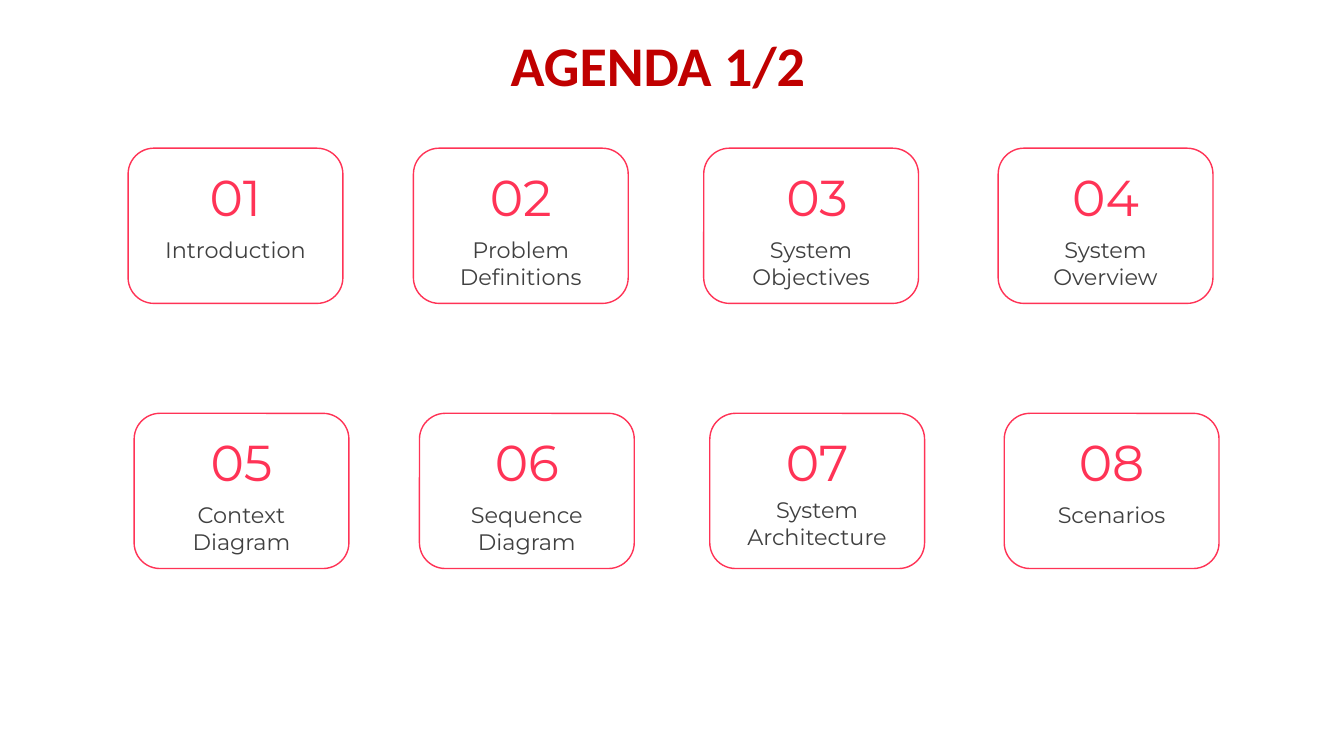
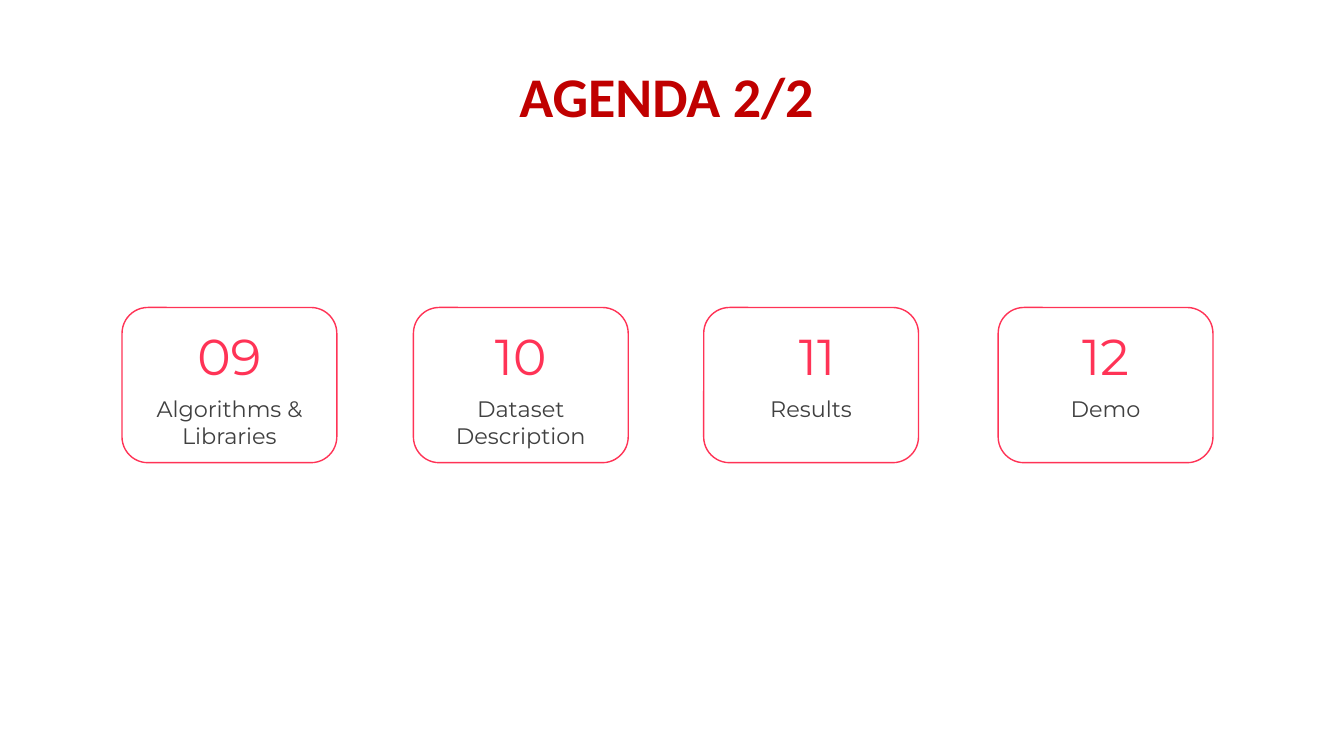
from dataclasses import dataclass

from pptx import Presentation
from pptx.dml.color import RGBColor
from pptx.enum.shapes import MSO_SHAPE
from pptx.enum.text import MSO_ANCHOR, MSO_AUTO_SIZE, PP_ALIGN
from pptx.util import Inches, Pt


@dataclass(frozen=True)
class TextStyle:
    font: str
    size: int
    color: RGBColor
    bold: bool = False


@dataclass(frozen=True)
class Theme:
    paper: RGBColor = RGBColor.from_string("FFFFFF")
    accent: RGBColor = RGBColor.from_string("FF3356")
    outline_width: int = 1
    title: TextStyle = TextStyle("Calibri", 40, RGBColor.from_string("C00000"), True)
    number: TextStyle = TextStyle("Montserrat", 36, RGBColor.from_string("FF3356"))
    label: TextStyle = TextStyle("Montserrat", 16, RGBColor.from_string("404040"))


@dataclass(frozen=True)
class Topic:
    number: int
    label: str
    card_shift: float = 0
    number_shift: float = 0
    label_rise: float = 0


# Lengths are percentages of the slide's width (across) and height (down).
COLUMNS = (9.53, 30.76, 52.36, 74.27)
NUDGE = 0.45
CARD_SIZE = (15.98, 20.53)
NUMBER_SIZE = (11.33, 9.47)
LABEL_SIZE = (15.08, 8.53)
TITLE_SIZE = (58.96, 10.27)
NUMBER_DROP = 1.73
LABEL_DROP = 10.93

AGENDA = (
    ("AGENDA 1/2", 48.95, 3.33, (
        (19.6, 0, (
            Topic(1, "Introduction"),
            Topic(2, "Problem Definitions"),
            Topic(3, "System Objectives", number_shift=NUDGE),
            Topic(4, "System Overview"))),
        (54.67, NUDGE, (
            Topic(5, "Context Diagram"),
            Topic(6, "Sequence Diagram"),
            Topic(7, "System Architecture", label_rise=0.6),
            Topic(8, "Scenarios"))),
    )),
    ("AGENDA 2/2", 49.59, 7.47, (
        (40.67, 0, (
            Topic(9, "Algorithms & Libraries", card_shift=-NUDGE),
            Topic(10, "Dataset Description"),
            Topic(11, "Results", number_shift=NUDGE),
            Topic(12, "Demo"))),
    )),
)


class AgendaDeck:
    def __init__(self, theme):
        self.theme = theme
        self.presentation = Presentation()
        self.presentation.slide_width = Inches(13.33)
        self.presentation.slide_height = Inches(7.5)
        self.slide = None

    def box(self, left, top, size):
        """Turn percentages into left, top, width and height in EMU."""
        across = self.presentation.slide_width / 100
        down = self.presentation.slide_height / 100
        return (round(left * across), round(top * down),
                round(size[0] * across), round(size[1] * down))

    def set_text(self, shape, text, style):
        frame = shape.text_frame
        frame.text = text
        frame.word_wrap = True
        frame.auto_size = MSO_AUTO_SIZE.NONE
        frame.vertical_anchor = MSO_ANCHOR.TOP
        paragraph = frame.paragraphs[0]
        paragraph.alignment = PP_ALIGN.CENTER
        font = paragraph.runs[0].font
        font.name = style.font
        font.size = Pt(style.size)
        font.bold = style.bold
        font.color.rgb = style.color

    def add_slide(self, title, center, top):
        layout = self.presentation.slide_layouts.get_by_name("Title Only")
        self.slide = self.presentation.slides.add_slide(layout)
        shape = self.slide.shapes.title
        shape.left, shape.top, shape.width, shape.height = self.box(
            center - TITLE_SIZE[0] / 2, top, TITLE_SIZE)
        self.set_text(shape, title, self.theme.title)

    def add_text(self, text, center, top, size, style):
        shape = self.slide.shapes.add_textbox(*self.box(center - size[0] / 2, top, size))
        self.set_text(shape, text, style)

    def add_card(self, topic, left, top):
        left += topic.card_shift
        card = self.slide.shapes.add_shape(
            MSO_SHAPE.ROUNDED_RECTANGLE, *self.box(left, top, CARD_SIZE))
        card.shadow.inherit = False
        card.fill.solid()
        card.fill.fore_color.rgb = self.theme.paper
        card.line.color.rgb = self.theme.accent
        card.line.width = Pt(self.theme.outline_width)

        center = left + CARD_SIZE[0] / 2
        self.add_text(topic.label, center, top + LABEL_DROP - topic.label_rise,
                      LABEL_SIZE, self.theme.label)
        self.add_text(f"{topic.number:02}", center + topic.number_shift,
                      top + NUMBER_DROP, NUMBER_SIZE, self.theme.number)

    def add_row(self, top, shift, topics):
        for column, topic in zip(COLUMNS, topics):
            self.add_card(topic, column + shift, top)


def main():
    deck = AgendaDeck(Theme())
    for title, center, title_top, rows in AGENDA:
        deck.add_slide(title, center, title_top)
        for row in rows:
            deck.add_row(*row)
    deck.presentation.save("out.pptx")


if __name__ == "__main__":
    main()
